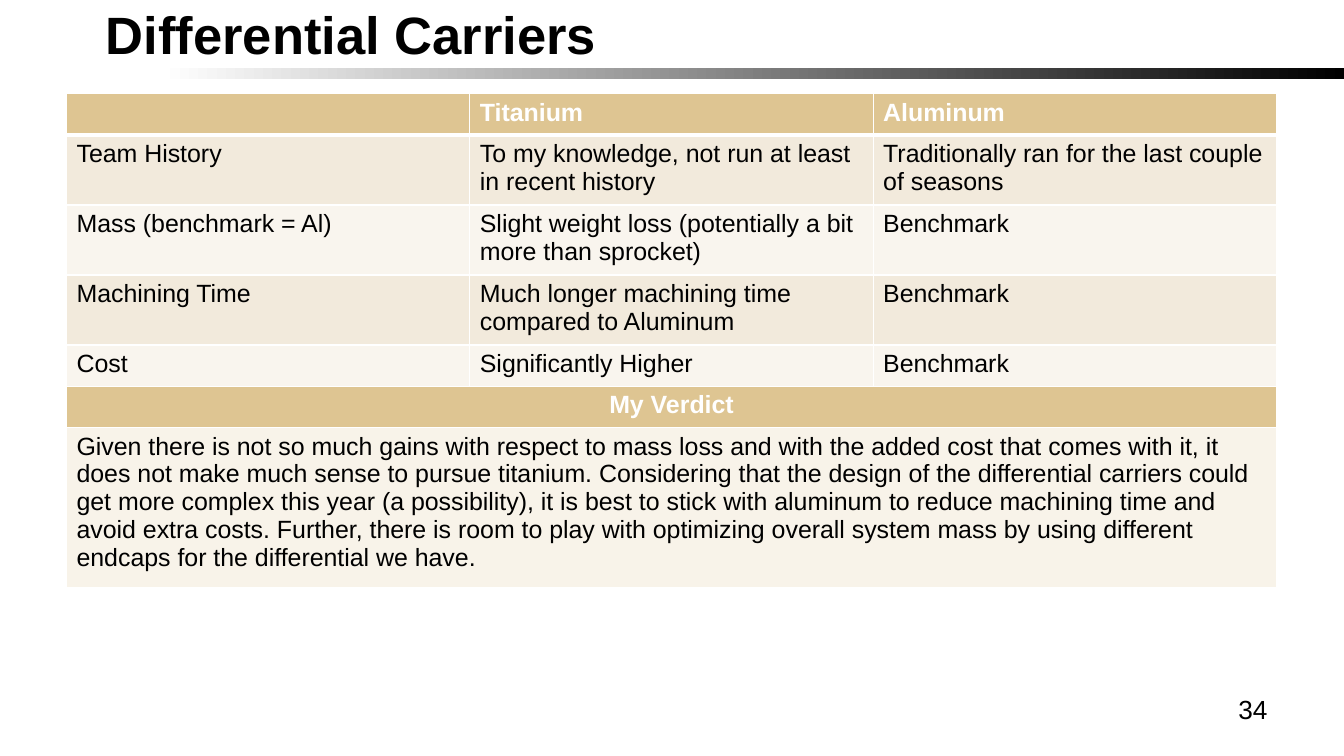
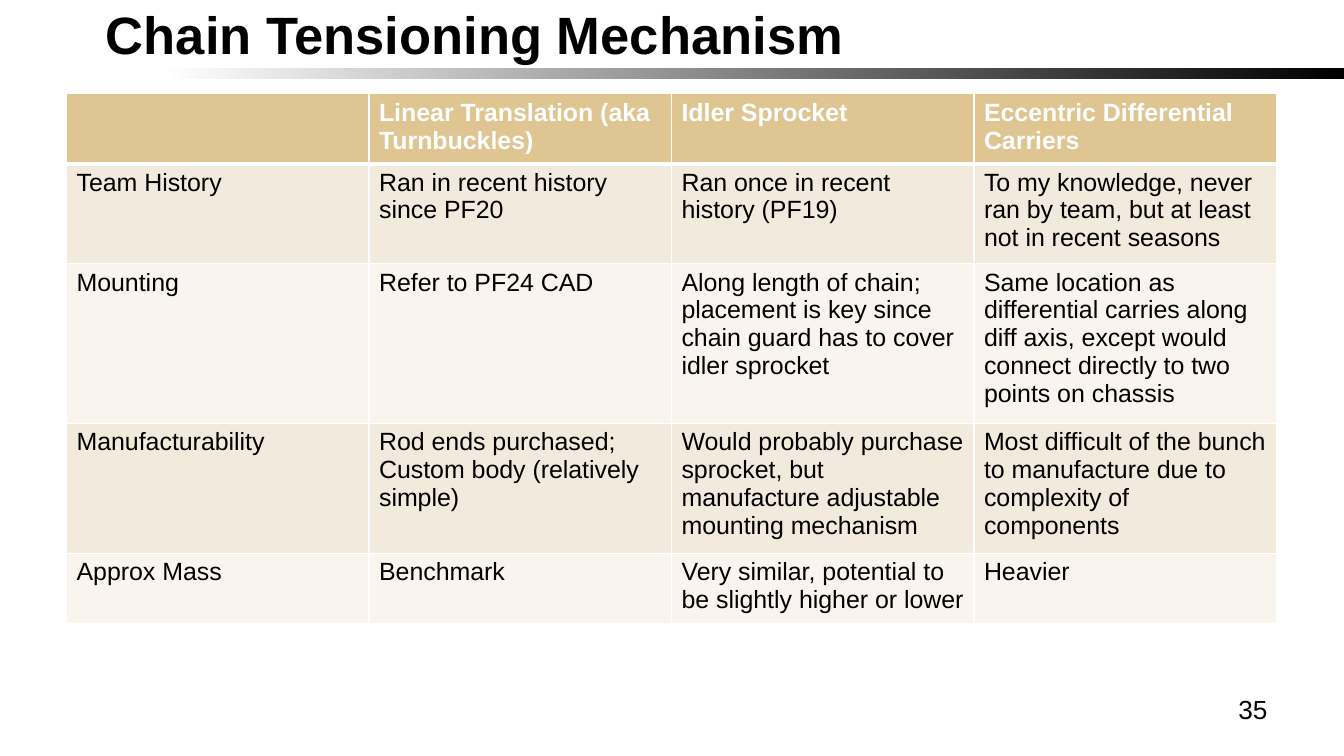
import pptx
import pptx.dml.color
import pptx.enum.shapes
import pptx.enum.text
import pptx.oxml
import pptx.oxml.ns
import pptx.util

Inches = pptx.util.Inches
Pt = pptx.util.Pt
RGBColor = pptx.dml.color.RGBColor
Align = pptx.enum.text.PP_ALIGN
Anchor = pptx.enum.text.MSO_ANCHOR

BLACK = RGBColor(0x00, 0x00, 0x00)
WHITE = RGBColor(0xFF, 0xFF, 0xFF)
GOLD = RGBColor(0xDE, 0xC5, 0x92)
BAND_DARK = RGBColor(0xF2, 0xEA, 0xDC)
BAND_LIGHT = RGBColor(0xF9, 0xF5, 0xEE)
VERDICT = RGBColor(0xF8, 0xF3, 0xE9)

TABLE_WIDTH = 12
ROW_HEIGHT = 0.41

CARRIER_ROWS = [
    ["", "Titanium", "Aluminum"],
    ["Team History", "To my knowledge, not run at least in recent history",
     "Traditionally ran for the last couple of seasons"],
    ["Mass (benchmark = Al)",
     "Slight weight loss (potentially a bit more than sprocket)", "Benchmark"],
    ["Machining Time", "Much longer machining time compared to Aluminum", "Benchmark"],
    ["Cost", "Significantly Higher", "Benchmark"],
]
CARRIER_VERDICT = (
    "Given there is not so much gains with respect to mass loss and with the added cost "
    "that comes with it, it does not make much sense to pursue titanium. Considering that "
    "the design of the differential carriers could get more complex this year (a "
    "possibility), it is best to stick with aluminum to reduce machining time and avoid "
    "extra costs. Further, there is room to play with optimizing overall system mass by "
    "using different endcaps for the differential we have."
)
TENSIONER_ROWS = [
    ["", "Linear Translation (aka Turnbuckles)", "Idler Sprocket",
     "Eccentric Differential Carriers"],
    ["Team History", "Ran in recent history since PF20",
     "Ran once in recent history (PF19)",
     "To my knowledge, never ran by team, but at least not in recent seasons"],
    ["Mounting", "Refer to PF24 CAD",
     "Along length of chain; placement is key since chain guard has to cover idler sprocket",
     "Same location as differential carries along diff axis, except would connect "
     "directly to two points on chassis"],
    ["Manufacturability", "Rod ends purchased; Custom body (relatively simple)",
     "Would probably purchase sprocket, but manufacture adjustable mounting mechanism",
     "Most difficult of the bunch to manufacture due to complexity of components"],
    ["Approx Mass", "Benchmark", "Very similar, potential to be slightly higher or lower",
     "Heavier"],
]


def apply_format(target, values):
    for name, value in values.items():
        setattr(target, name, value)


class Deck:
    title_font = {"name": "Arial", "size": Pt(37.5), "bold": True}
    number_font = {"name": "Arial", "size": Pt(18.7), "bold": False}
    header_font = {"name": "Arial", "size": Pt(17.8), "bold": True}
    body_font = {"name": "Arial", "size": Pt(17.8), "bold": False}

    def __init__(self):
        self.presentation = pptx.Presentation()
        apply_format(self.presentation,
                     {"slide_width": Inches(13.33), "slide_height": Inches(7.5)})
        self.slide = None

    def add_slide(self, title, number):
        self.slide = self.presentation.slides.add_slide(self.presentation.slide_layouts[6])
        self.add_gradient_band()
        self.add_text((0.67, 0.22, 8.67, 0.43), title, self.title_font, Align.LEFT,
                      {"vertical_anchor": Anchor.BOTTOM, "margin_left": Inches(0.38),
                       "margin_bottom": 0})
        self.add_text((9.56, 6.83, 3.11, 0.52), str(number), self.number_font, Align.RIGHT, {})

    def add_gradient_band(self):
        shape = self.slide.shapes.add_shape(
            pptx.enum.shapes.MSO_SHAPE.RECTANGLE, 0, Inches(0.67), Inches(13.33), Inches(0.11))
        shape.shadow.inherit = False
        shape.line.fill.background()
        shape.fill.gradient()
        shape.fill.gradient_angle = 180
        for stop, color, position in zip(shape.fill.gradient_stops, (BLACK, WHITE), (0, 0.88)):
            stop.color.rgb = color
            stop.position = position

    def set_text(self, text_frame, text, font, color, alignment):
        paragraph = text_frame.paragraphs[0]
        paragraph.alignment = alignment
        run = paragraph.add_run()
        run.text = text
        apply_format(run.font, font)
        run.font.color.rgb = color

    def add_text(self, box, text, font, alignment, frame_format):
        shape = self.slide.shapes.add_textbox(*map(Inches, box))
        apply_format(shape.text_frame, {"word_wrap": True, **frame_format})
        self.set_text(shape.text_frame, text, font, BLACK, alignment)

    def set_borders(self, cell, bottom_width):
        properties = cell._tc.get_or_add_tcPr()
        for side, width in (("L", 1), ("R", 1), ("T", 1), ("B", bottom_width)):
            properties.append(pptx.oxml.parse_xml(
                f'<a:ln{side} {pptx.oxml.ns.nsdecls("a")} w="{Pt(width)}">'
                f'<a:solidFill><a:srgbClr val="{WHITE}"/></a:solidFill></a:ln{side}>'))

    def fill_cell(self, cell, text, fill, alignment=Align.LEFT, bottom_width=1):
        self.set_borders(cell, bottom_width)
        cell.fill.solid()
        cell.fill.fore_color.rgb = fill
        if text:
            font, color = (self.header_font, WHITE) if fill == GOLD else (self.body_font, BLACK)
            self.set_text(cell.text_frame, text, font, color, alignment)

    def add_comparison(self, rows, verdict=None):
        columns = len(rows[0])
        row_count = len(rows) + (2 if verdict else 0)
        table = self.slide.shapes.add_table(
            row_count, columns, Inches(0.66), Inches(0.93),
            Inches(TABLE_WIDTH), Inches(ROW_HEIGHT * row_count)).table
        apply_format(table, {"first_row": False, "horz_banding": False})
        for row_index, row in enumerate(rows):
            header = row_index == 0
            fill = GOLD if header else (BAND_LIGHT, BAND_DARK)[row_index % 2]
            for column_index, text in enumerate(row):
                self.fill_cell(table.cell(row_index, column_index), text, fill,
                               bottom_width=3 if header else 1)
        if verdict:
            closing_rows = (("My Verdict", GOLD, Align.CENTER), (verdict, VERDICT, Align.LEFT))
            for row_index, closing_row in enumerate(closing_rows, len(rows)):
                cell = table.cell(row_index, 0)
                cell.merge(table.cell(row_index, columns - 1))
                self.fill_cell(cell, *closing_row)


def main():
    deck = Deck()
    deck.add_slide("Differential Carriers", 34)
    deck.add_comparison(CARRIER_ROWS, CARRIER_VERDICT)
    deck.add_slide("Chain Tensioning Mechanism", 35)
    deck.add_comparison(TENSIONER_ROWS)
    deck.presentation.save("out.pptx")


if __name__ == "__main__":
    main()
